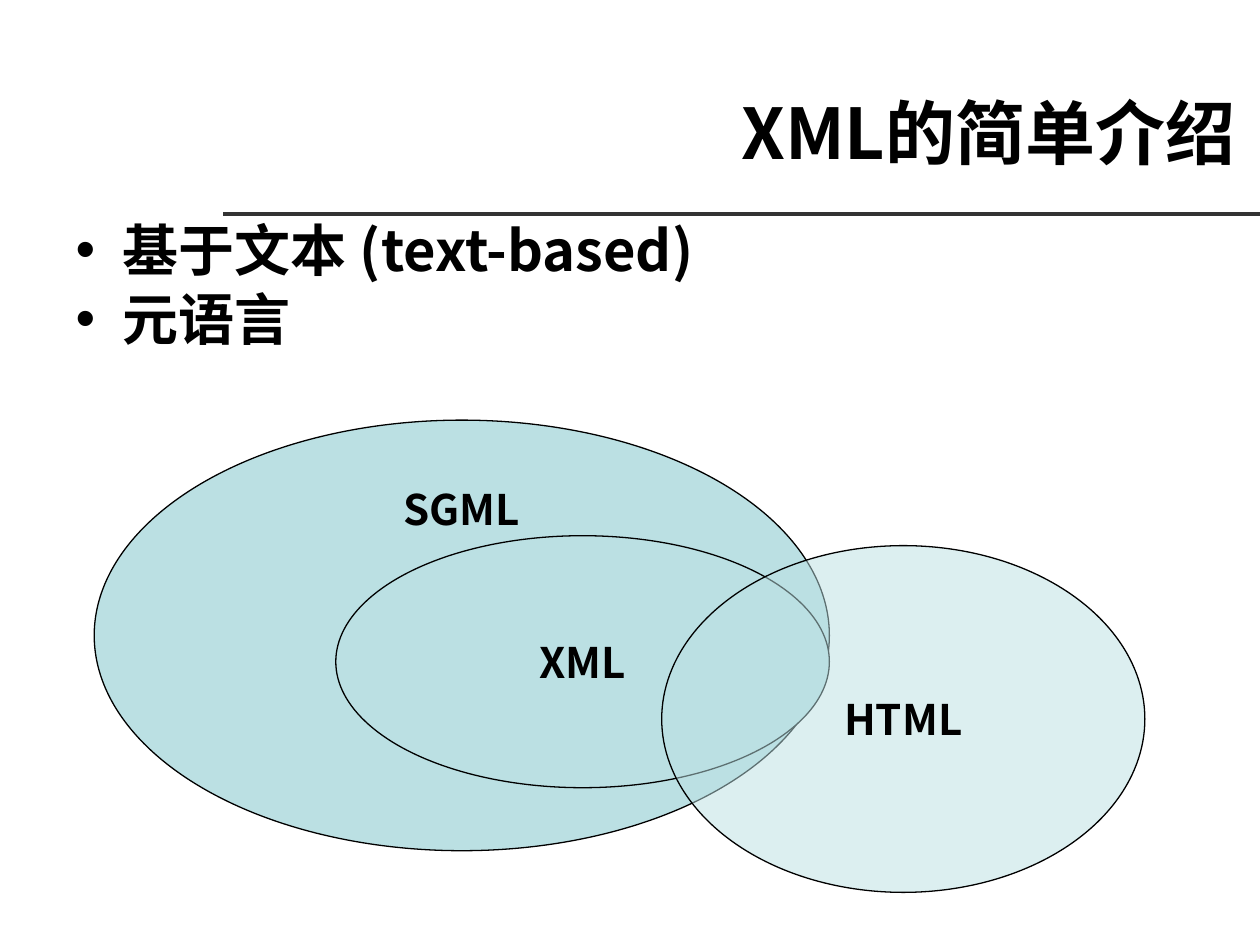
from dataclasses import dataclass

from lxml.etree import SubElement
from pptx import Presentation
from pptx.dml.color import RGBColor
from pptx.enum.shapes import MSO_CONNECTOR, MSO_SHAPE
from pptx.enum.text import MSO_ANCHOR, MSO_AUTO_SIZE, PP_ALIGN
from pptx.oxml.ns import qn
from pptx.util import Cm, Pt


@dataclass(frozen=True)
class Theme:
    font: str = "Noto Sans CJK SC"
    ink: RGBColor = RGBColor(0x00, 0x00, 0x00)
    rule: RGBColor = RGBColor(0x33, 0x33, 0x33)
    teal: RGBColor = RGBColor(0xBB, 0xE0, 0xE3)
    title_size: int = 40
    body_size: int = 32
    label_size: int = 24


@dataclass(frozen=True)
class Frame:
    left: float
    top: float
    width: float
    height: float

    def lengths(self) -> tuple:
        return Cm(self.left), Cm(self.top), Cm(self.width), Cm(self.height)


@dataclass(frozen=True)
class Language:
    name: str
    frame: Frame
    anchor: MSO_ANCHOR = MSO_ANCHOR.MIDDLE
    opacity: int = 100


THEME = Theme()
TITLE = "XML的简单介绍"
POINTS = ["基于文本 (text-based)", "元语言"]
LANGUAGES = [
    Language("SGML", Frame(1.9, 8.47, 14.82, 8.68), anchor=MSO_ANCHOR.TOP),
    Language("XML", Frame(6.77, 10.8, 9.95, 5.08)),
    Language("HTML", Frame(13.34, 11, 9.74, 6.99), opacity=50),
]


def style_paragraph(paragraph, size: int, alignment: PP_ALIGN) -> None:
    paragraph.alignment = alignment
    for font in (paragraph.font, *(span.font for span in paragraph.runs)):
        font.size = Pt(size)
        font.bold = True
        font.color.rgb = THEME.ink
        font.name = THEME.font
    # Chinese characters take the East Asian typeface
    for span in paragraph.runs:
        properties = span._r.get_or_add_rPr()
        SubElement(properties, qn("a:ea")).set("typeface", THEME.font)


def place(box, frame: Frame) -> None:
    box.left, box.top, box.width, box.height = frame.lengths()


def fill_title(page) -> None:
    box = page.shapes.title
    place(box, Frame(4.5, 0.97, 20.65, 3.35))
    box.text_frame.text = TITLE
    box.text_frame.vertical_anchor = MSO_ANCHOR.MIDDLE
    box.text_frame.auto_size = MSO_AUTO_SIZE.NONE
    style_paragraph(box.text_frame.paragraphs[0], THEME.title_size, PP_ALIGN.RIGHT)


def fill_points(page) -> None:
    box = page.placeholders[1]
    place(box, Frame(1.27, 4.45, 23.44, 3.99))
    box.text_frame.text = "\n".join(POINTS)
    box.text_frame.auto_size = MSO_AUTO_SIZE.NONE
    for paragraph in box.text_frame.paragraphs:
        paragraph.space_before = Pt(8)
        paragraph.line_spacing = 0.82
        style_paragraph(paragraph, THEME.body_size, PP_ALIGN.LEFT)


def draw_rule(page) -> None:
    rule = page.shapes.add_connector(
        MSO_CONNECTOR.STRAIGHT, Cm(4.5), Cm(4.32), Cm(25.4), Cm(4.32)
    )
    rule.line.color.rgb = THEME.rule
    rule.line.width = Pt(2.25)
    SubElement(rule._element.spPr, qn("a:effectLst"))


def draw_language(page, language: Language) -> None:
    oval = page.shapes.add_shape(MSO_SHAPE.OVAL, *language.frame.lengths())
    oval.shadow.inherit = False
    oval.fill.solid()
    oval.fill.fore_color.rgb = THEME.teal
    if language.opacity < 100:
        color = oval._element.spPr.find(qn("a:solidFill"))[0]
        SubElement(color, qn("a:alpha")).set("val", str(language.opacity * 1000))
    oval.line.color.rgb = THEME.ink
    oval.line.width = Pt(0.75)

    label = oval.text_frame
    label.text = language.name
    label.word_wrap = False
    label.vertical_anchor = language.anchor
    label.margin_top = label.margin_bottom = 0
    style_paragraph(label.paragraphs[0], THEME.label_size, PP_ALIGN.CENTER)


def main() -> None:
    deck = Presentation()
    deck.slide_width, deck.slide_height = Cm(25.4), Cm(19.05)
    page = deck.slides.add_slide(deck.slide_layouts[1])

    # Heading and bullet list
    draw_rule(page)
    fill_title(page)
    fill_points(page)

    # Overlapping language families
    for language in LANGUAGES:
        draw_language(page, language)

    deck.save("out.pptx")


if __name__ == "__main__":
    main()
